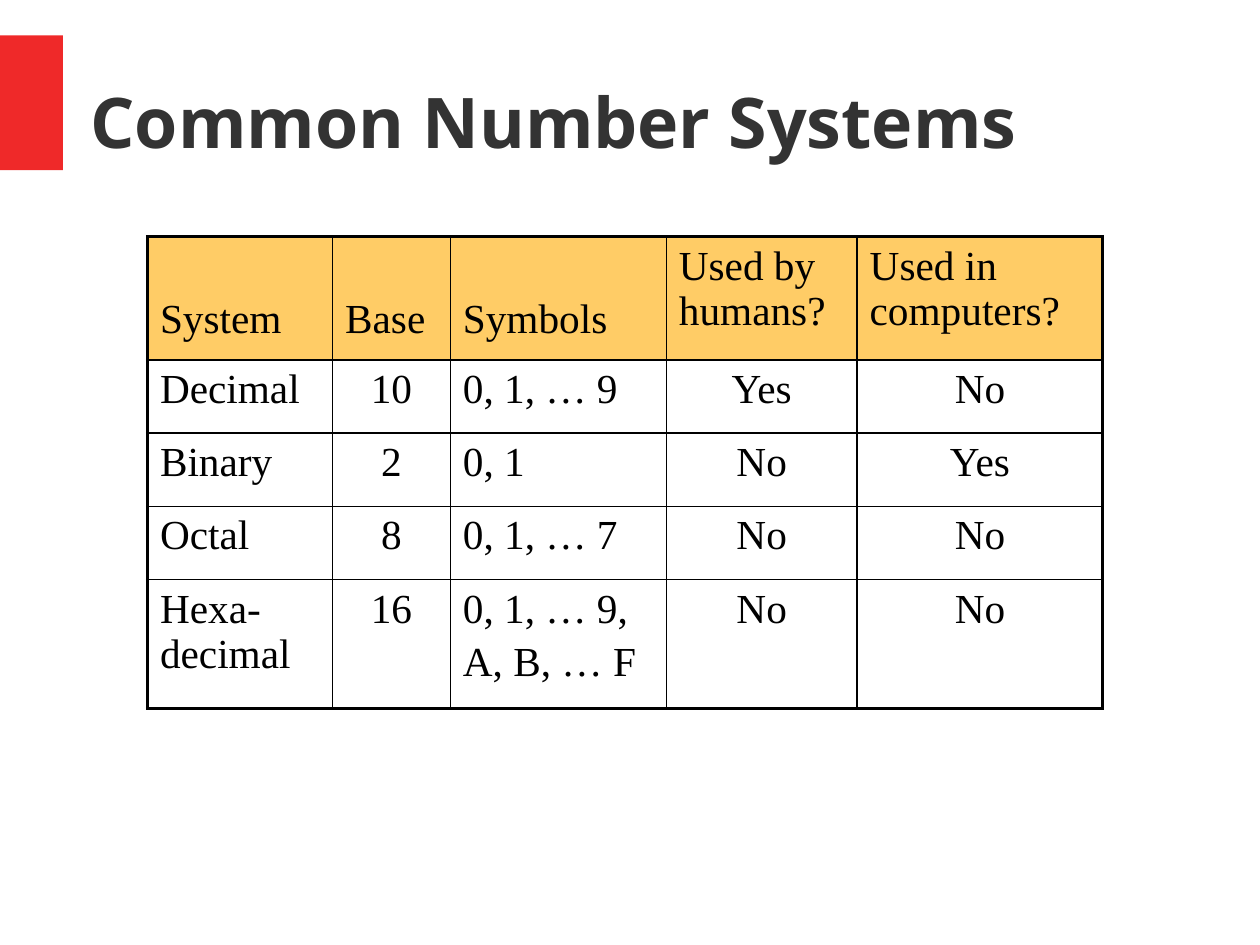
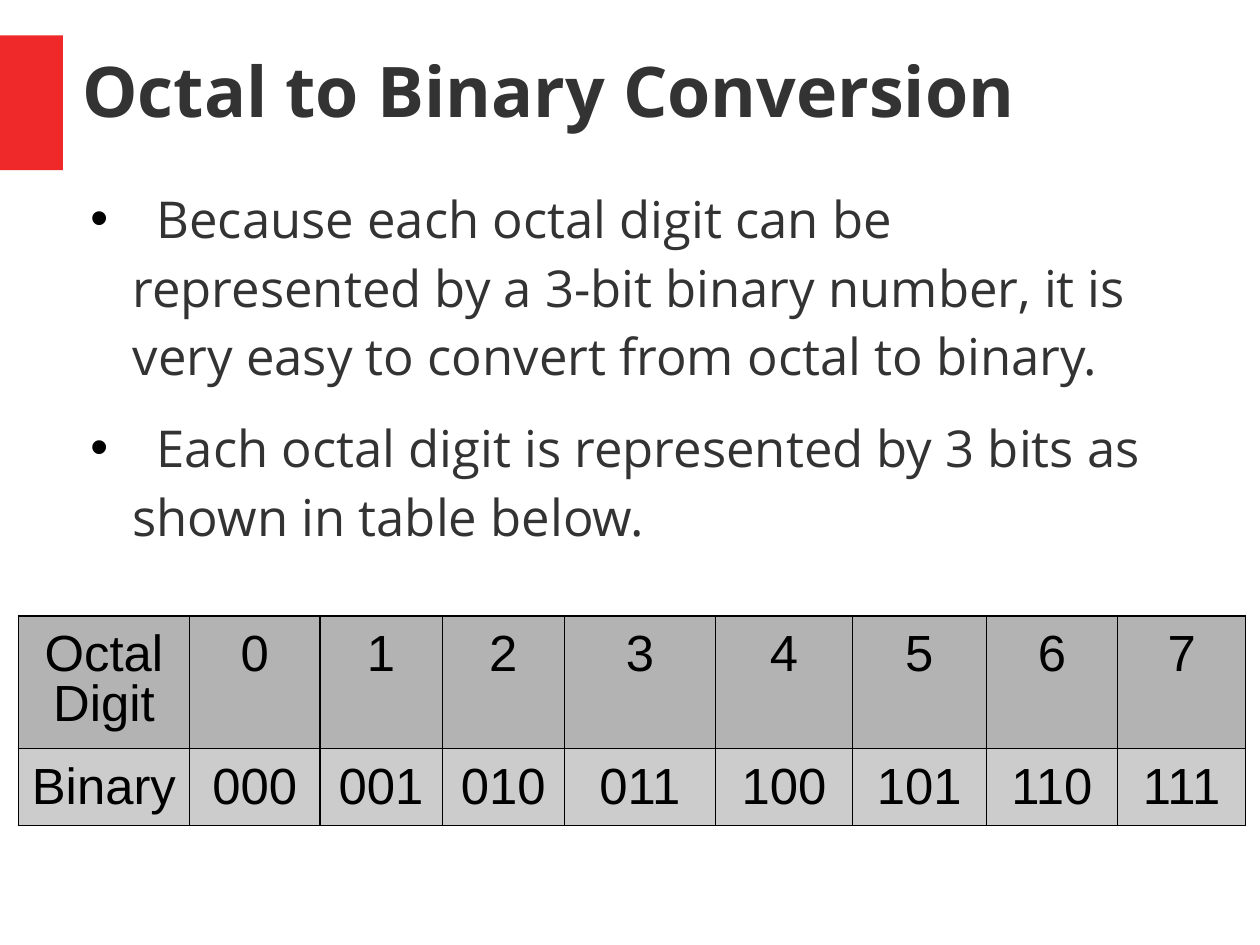
from dataclasses import dataclass

from lxml import etree
from pptx import Presentation
from pptx import util as u
from pptx.dml.color import RGBColor
from pptx.enum import shapes, text
from pptx.oxml import ns

# Shared colours and fonts
RED = RGBColor(0xEF, 0x29, 0x29)
CHARCOAL = RGBColor(0x33, 0x33, 0x33)
BLACK = RGBColor(0, 0, 0)
AMBER = RGBColor(0xFF, 0xCC, 0x66)
GREY = RGBColor(0xB3, 0xB3, 0xB3)
LIGHT_GREY = RGBColor(0xCC, 0xCC, 0xCC)
HEADING_FONT = "Open Sans"
LINE_SPACING = 1.13
BULLET_INDENT = 0.37
FIRST_LINE_GAP = 0.21


@dataclass(frozen=True)
class Box:
    left: float
    top: float
    width: float
    height: float


@dataclass(frozen=True)
class Grid:
    left: float
    top: float
    columns: list[float]
    rows: list[float]
    cells: list[list[str]]
    fills: list[RGBColor | None]  # one per row
    font: str
    size: int
    margins: tuple[float, float, float, float]  # left, top, right, bottom
    centred: set[int]  # columns
    outline: float
    header_centred: bool = False
    low_headers: int = 0  # leading header cells set on the second line
    low_top: float = 0
    line_spacing: float = 1.0
    space_before: float = 0


def place(shape, box: Box) -> None:
    shape.left, shape.top = u.Inches(box.left), u.Inches(box.top)
    shape.width, shape.height = u.Inches(box.width), u.Inches(box.height)


def style_runs(paragraph, font: str, size: float, colour: RGBColor, bold: bool = False) -> None:
    for run in paragraph.runs:
        run.font.name, run.font.size, run.font.bold = font, u.Pt(size), bold
        run.font.color.rgb = colour


def prepare_frame(frame, anchor) -> None:
    frame.margin_left = frame.margin_top = frame.margin_right = frame.margin_bottom = 0
    frame.word_wrap = True
    frame.auto_size = text.MSO_AUTO_SIZE.NONE
    frame.vertical_anchor = anchor


def add_titled_slide(deck, layout: int, heading: str, box: Box):
    slide = deck.slides.add_slide(deck.slide_layouts[layout])
    band = slide.shapes.add_shape(shapes.MSO_SHAPE.RECTANGLE, 0, u.Inches(0.31),
                                  u.Inches(0.55), u.Inches(1.18))
    band.shadow.inherit = False
    band.fill.solid()
    band.fill.fore_color.rgb = RED
    band.line.fill.background()

    title = slide.shapes.title
    place(title, box)
    prepare_frame(title.text_frame, text.MSO_ANCHOR.MIDDLE)
    title.text_frame.text = heading
    line = title.text_frame.paragraphs[0]
    line.alignment = text.PP_ALIGN.LEFT
    line.line_spacing = LINE_SPACING
    style_runs(line, HEADING_FONT, 44, CHARCOAL, bold=True)
    return slide


def add_bullet(paragraph) -> None:
    props = paragraph._p.get_or_add_pPr()
    props.set("marL", str(u.Inches(BULLET_INDENT)))
    props.set("indent", str(-u.Inches(BULLET_INDENT)))
    colour = etree.SubElement(props, ns.qn("a:buClr"))
    etree.SubElement(colour, ns.qn("a:srgbClr"), val=str(BLACK))
    etree.SubElement(props, ns.qn("a:buFont"), typeface="Arial")
    etree.SubElement(props, ns.qn("a:buChar"), char="•")
    # Stops measured from the indent and from the frame edge
    stops = etree.SubElement(props, ns.qn("a:tabLst"))
    for position in (FIRST_LINE_GAP, BULLET_INDENT + FIRST_LINE_GAP):
        etree.SubElement(stops, ns.qn("a:tab"), pos=str(u.Inches(position)), algn="l")


def fill_body(body, box: Box, points: list[str]) -> None:
    place(body, box)
    prepare_frame(body.text_frame, text.MSO_ANCHOR.TOP)
    body.text_frame.text = "\n".join("\t" + point for point in points)
    for paragraph in body.text_frame.paragraphs:
        paragraph.line_spacing = LINE_SPACING
        paragraph.space_before, paragraph.space_after = u.Pt(0), u.Pt(14.1)
        add_bullet(paragraph)
        style_runs(paragraph, HEADING_FONT, 32, CHARCOAL)


def set_borders(cell, widths: dict[str, float]) -> None:
    props = cell._tc.get_or_add_tcPr()
    for side, width in widths.items():
        edge = etree.SubElement(props, ns.qn(f"a:ln{side}"), w=str(u.Pt(width)))
        paint = etree.SubElement(edge, ns.qn("a:solidFill"))
        etree.SubElement(paint, ns.qn("a:srgbClr"), val=str(BLACK))


def format_cell(cell, grid: Grid, row: int, column: int) -> None:
    left, top, right, bottom = grid.margins
    if row == 0 and column < grid.low_headers:
        top = grid.low_top
    cell.margin_left, cell.margin_top = u.Inches(left), u.Inches(top)
    cell.margin_right, cell.margin_bottom = u.Inches(right), u.Inches(bottom)
    cell.vertical_anchor = text.MSO_ANCHOR.TOP
    outer = {"L": column == 0, "R": column == len(grid.columns) - 1,
             "T": row == 0, "B": row == len(grid.rows) - 1}
    set_borders(cell, {side: grid.outline if edge else 1 for side, edge in outer.items()})
    if grid.fills[row] is None:
        cell.fill.background()
    else:
        cell.fill.solid()
        cell.fill.fore_color.rgb = grid.fills[row]

    cell.text_frame.text = grid.cells[row][column]
    centred = column in grid.centred and (row > 0 or grid.header_centred)
    for index, paragraph in enumerate(cell.text_frame.paragraphs):
        paragraph.alignment = text.PP_ALIGN.CENTER if centred else text.PP_ALIGN.LEFT
        paragraph.line_spacing = grid.line_spacing
        paragraph.space_before = u.Pt(grid.space_before if index else 0)
        style_runs(paragraph, grid.font, grid.size, BLACK)


def add_grid(slide, grid: Grid) -> None:
    table = slide.shapes.add_table(
        len(grid.rows), len(grid.columns), u.Inches(grid.left), u.Inches(grid.top),
        u.Inches(sum(grid.columns)), u.Inches(sum(grid.rows))).table
    table.first_row = table.horz_banding = False
    for column, width in enumerate(grid.columns):
        table.columns[column].width = u.Inches(width)
    for row, height in enumerate(grid.rows):
        table.rows[row].height = u.Inches(height)
        for column in range(len(grid.columns)):
            format_cell(table.cell(row, column), grid, row, column)


NUMBER_SYSTEMS = Grid(
    left=1.29, top=2.07,
    columns=[1.62, 1.03, 1.89, 1.67, 2.15],
    rows=[1.08, 0.64, 0.64, 0.64, 1.13],
    cells=[
        ["System", "Base", "Symbols", "Used by humans?", "Used in computers?"],
        ["Decimal", "10", "0, 1, … 9", "Yes", "No"],
        ["Binary", "2", "0, 1", "No", "Yes"],
        ["Octal", "8", "0, 1, … 7", "No", "No"],
        ["Hexa-\vdecimal", "16", "0, 1, … 9,\nA, B, … F", "No", "No"],
    ],
    fills=[AMBER, None, None, None, None],
    font="Times New Roman", size=26, margins=(0.11, 0.06, 0.11, 0.06),
    centred={1, 3, 4}, outline=2.25, low_headers=3, low_top=0.53, space_before=5)

OCTAL_DIGITS = Grid(
    left=0.16, top=5.39,
    columns=[1.5, 1.14, 1.07, 1.07, 1.32, 1.2, 1.17, 1.15, 1.12],
    rows=[1.16, 0.67],
    cells=[["Octal\nDigit"] + [str(digit) for digit in range(8)],
           ["Binary"] + [f"{digit:03b}" for digit in range(8)]],
    fills=[GREY, LIGHT_GREY],
    font="Arial", size=32, margins=(0.1, 0.14, 0.1, 0.05),
    centred=set(range(9)), outline=1, header_centred=True, line_spacing=0.87)


def main() -> None:
    deck = Presentation()
    # The page is metric: 28 by 21 cm
    deck.slide_width, deck.slide_height = u.Cm(28), u.Cm(21)

    # Slide 1: number systems
    systems = add_titled_slide(deck, 5, "Common Number Systems", Box(0.79, 0.33, 9.67, 1.36))
    add_grid(systems, NUMBER_SYSTEMS)

    # Slide 2: octal to binary
    conversion = add_titled_slide(deck, 1, "Octal to Binary Conversion",
                                  Box(0.72, 0.05, 9.67, 1.37))
    fill_body(conversion.placeholders[1], Box(0.79, 1.57, 9.44, 3.47), [
        "Because each octal digit can be represented by a 3-bit binary number, "
        "it is very easy to convert from octal to binary.",
        "Each octal digit is represented by 3 bits as shown in table below.",
    ])
    add_grid(conversion, OCTAL_DIGITS)

    deck.save("out.pptx")


main()
